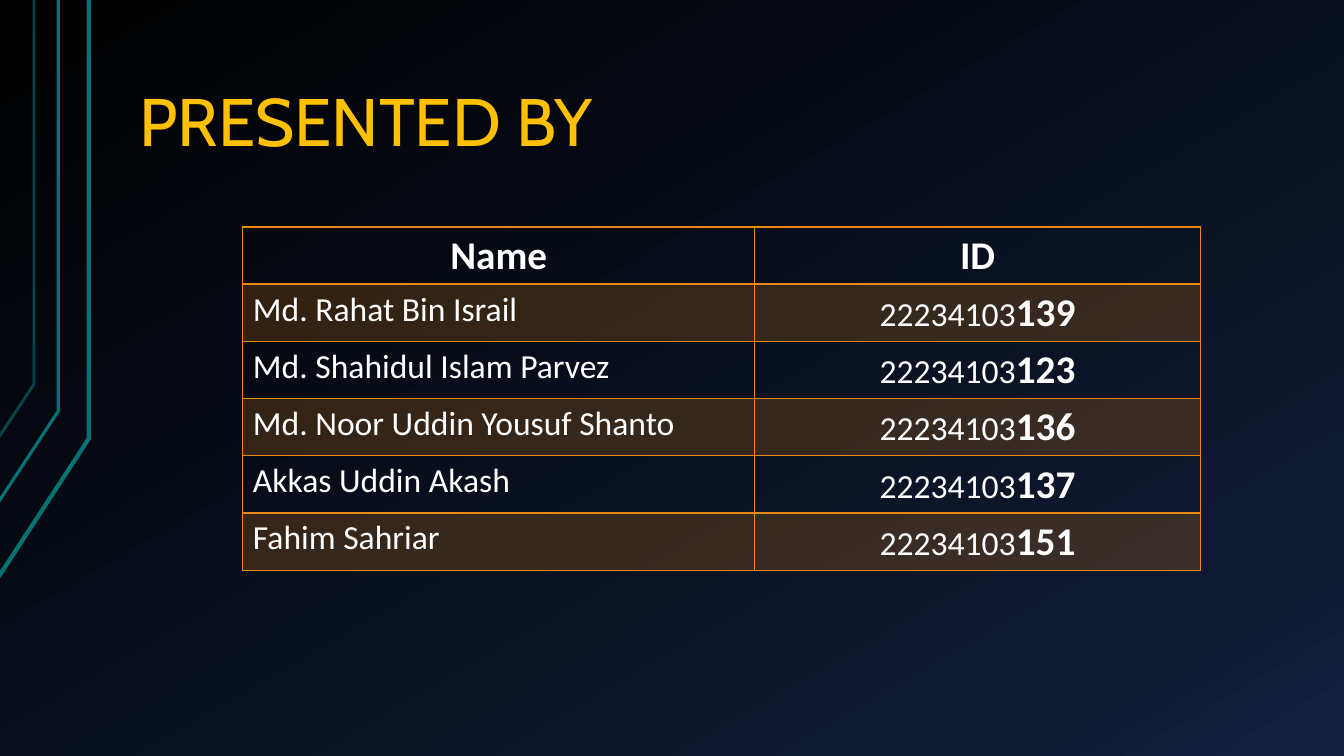
"""Build the "Presented by" slide with its table of names and IDs."""
import copy
from dataclasses import dataclass
from typing import Any

import lxml.etree
import pptx
import pptx.dml.color
import pptx.enum.text
import pptx.oxml.ns
import pptx.util

Cm = pptx.util.Cm
Pt = pptx.util.Pt
RGBColor = pptx.dml.color.RGBColor
CENTER = pptx.enum.text.PP_ALIGN.CENTER
LEFT = pptx.enum.text.PP_ALIGN.LEFT

BLACK = RGBColor(0x00, 0x00, 0x00)
NIGHT = RGBColor(0x0F, 0x19, 0x31)
NAVY = RGBColor(0x14, 0x22, 0x42)
TEAL = RGBColor(0x00, 0x73, 0x73)
GOLD = RGBColor(0xFF, 0xC0, 0x00)
ORANGE = RGBColor(0xE9, 0x89, 0x15)
WHITE = RGBColor(0xFF, 0xFF, 0xFF)

BACKGROUND_STOPS = ((0, BLACK), (0.85, NIGHT), (1, NAVY))
TITLE_FONT = {"name": "Cabin", "size": Pt(48)}
STRONG = {"name": "Calibri", "size": Pt(28), "bold": True}
REGULAR = {"name": "Calibri", "size": Pt(24), "bold": False}
COLUMN_WIDTHS = (12.9, 11.23)
ROW_HEIGHT = 1.42
ID_PREFIX = "22234103"


@dataclass
class Trace:
    """A decorative line: foot, bend and top edge, in centimetres."""
    foot_x: float
    foot_y: float
    bend_x: float
    bend_y: float
    weight: float
    opacity: int


@dataclass
class Member:
    """A presenter and the last digits of the ID."""
    name: str
    number: str


TRACES = (
    Trace(-0.03, 14.53, 2.24, 11.05, 3, 100),
    Trace(-0.05, 12.67, 1.47, 10.36, 2.25, 100),
    Trace(-0.03, 11.02, 0.86, 9.68, 2, 60),
)
MEMBERS = (
    Member("Md. Rahat Bin Israil", "139"),
    Member("Md. Shahidul Islam Parvez", "123"),
    Member("Md. Noor Uddin Yousuf Shanto", "136"),
    Member("Akkas Uddin Akash", "137"),
    Member("Fahim Sahriar", "151"),
)


def apply_format(target: Any, values: dict[str, Any]) -> None:
    """Set each named attribute on the target."""
    for name, value in values.items():
        setattr(target, name, value)


def add_span(para: Any, text: str, font: dict[str, Any], color: RGBColor) -> None:
    """Append formatted text to a paragraph."""
    span = para.add_run()
    span.text = text
    apply_format(span.font, font)
    span.font.color.rgb = color


def set_opacity(element: Any, percent: int) -> None:
    """Give every colour inside the element an opacity."""
    for color in element.xpath(".//a:srgbClr"):
        alpha = lxml.etree.SubElement(color, pptx.oxml.ns.qn("a:alpha"))
        alpha.set("val", str(percent * 1000))


def paint_background(page: Any) -> None:
    """Fill the page with a three-stop gradient."""
    fill = page.background.fill
    fill.gradient()
    fill.gradient_angle = 300
    stop_list = page.element.xpath(".//a:gsLst")[0]
    stop_list.append(copy.deepcopy(stop_list[0]))
    for stop, (position, color) in zip(fill.gradient_stops, BACKGROUND_STOPS):
        stop.position = position
        stop.color.rgb = color


def draw_trace(page: Any, trace: Trace) -> None:
    """Draw a bent line from the left edge up to the top edge."""
    builder = page.shapes.build_freeform(Cm(trace.foot_x), Cm(trace.foot_y))
    bend = (Cm(trace.bend_x), Cm(trace.bend_y))
    builder.add_line_segments((bend, (Cm(trace.bend_x), 0)), close=False)
    line = builder.convert_to_shape()
    line.shadow.inherit = False
    line.fill.background()
    line.line.color.rgb = TEAL
    line.line.width = Pt(trace.weight)
    if trace.opacity < 100:
        set_opacity(line.element, trace.opacity)


def draw_title(page: Any) -> None:
    """Place the heading."""
    box = page.shapes.add_textbox(Cm(3.18), Cm(0.84), Cm(28.78), Cm(3.4))
    apply_format(box.text_frame, {
        "word_wrap": True,
        "vertical_anchor": pptx.enum.text.MSO_ANCHOR.BOTTOM,
        "margin_left": Cm(0.33), "margin_right": Cm(0.33),
        "margin_top": Cm(0.18), "margin_bottom": Cm(0.18),
    })
    para = box.text_frame.paragraphs[0]
    para.line_spacing = 0.9
    add_span(para, "PRESENTED BY", TITLE_FONT, GOLD)


def style_cell(cell: Any, row: int) -> None:
    """Set the band fill and the borders of a cell."""
    properties = cell._tc.get_or_add_tcPr()
    if row % 2:
        cell.fill.solid()
        cell.fill.fore_color.rgb = ORANGE
        set_opacity(properties, 20)
    else:
        cell.fill.background()
    weights = {"lnL": 1, "lnR": 1, "lnT": 2 if row == 1 else 1, "lnB": 1 if row else 2}
    for index, (side, weight) in enumerate(weights.items()):
        border = lxml.etree.Element(pptx.oxml.ns.qn(f"a:{side}"), w=str(Pt(weight)))
        solid = lxml.etree.SubElement(border, pptx.oxml.ns.qn("a:solidFill"))
        lxml.etree.SubElement(solid, pptx.oxml.ns.qn("a:srgbClr"), val=str(ORANGE))
        properties.insert(index, border)


def draw_table(page: Any) -> None:
    """Draw the table of presenters."""
    rows = [([("Name", STRONG)], [("ID", STRONG)])]
    rows += [([(member.name, REGULAR)], [(ID_PREFIX, REGULAR), (member.number, STRONG)])
             for member in MEMBERS]
    frame = page.shapes.add_table(
        len(rows), len(COLUMN_WIDTHS), Cm(6.12), Cm(5.72),
        Cm(sum(COLUMN_WIDTHS)), Cm(ROW_HEIGHT * len(rows)))
    table = frame.table
    apply_format(table, {"first_row": False, "horz_banding": False})
    for column, width in zip(table.columns, COLUMN_WIDTHS):
        column.width = Cm(width)
    for row, contents in enumerate(rows):
        table.rows[row].height = Cm(ROW_HEIGHT)
        for column, spans in enumerate(contents):
            cell = table.cell(row, column)
            style_cell(cell, row)
            para = cell.text_frame.paragraphs[0]
            para.alignment = LEFT if row and column == 0 else CENTER
            for text, font in spans:
                add_span(para, text, font, WHITE)


def main() -> None:
    """Build and save the deck."""
    deck = pptx.Presentation()
    apply_format(deck, {"slide_width": Cm(33.87), "slide_height": Cm(19.05)})
    page = deck.slides.add_slide(deck.slide_layouts[6])
    paint_background(page)
    for trace in TRACES:
        draw_trace(page, trace)
    draw_title(page)
    draw_table(page)
    deck.save("out.pptx")


if __name__ == "__main__":
    main()
